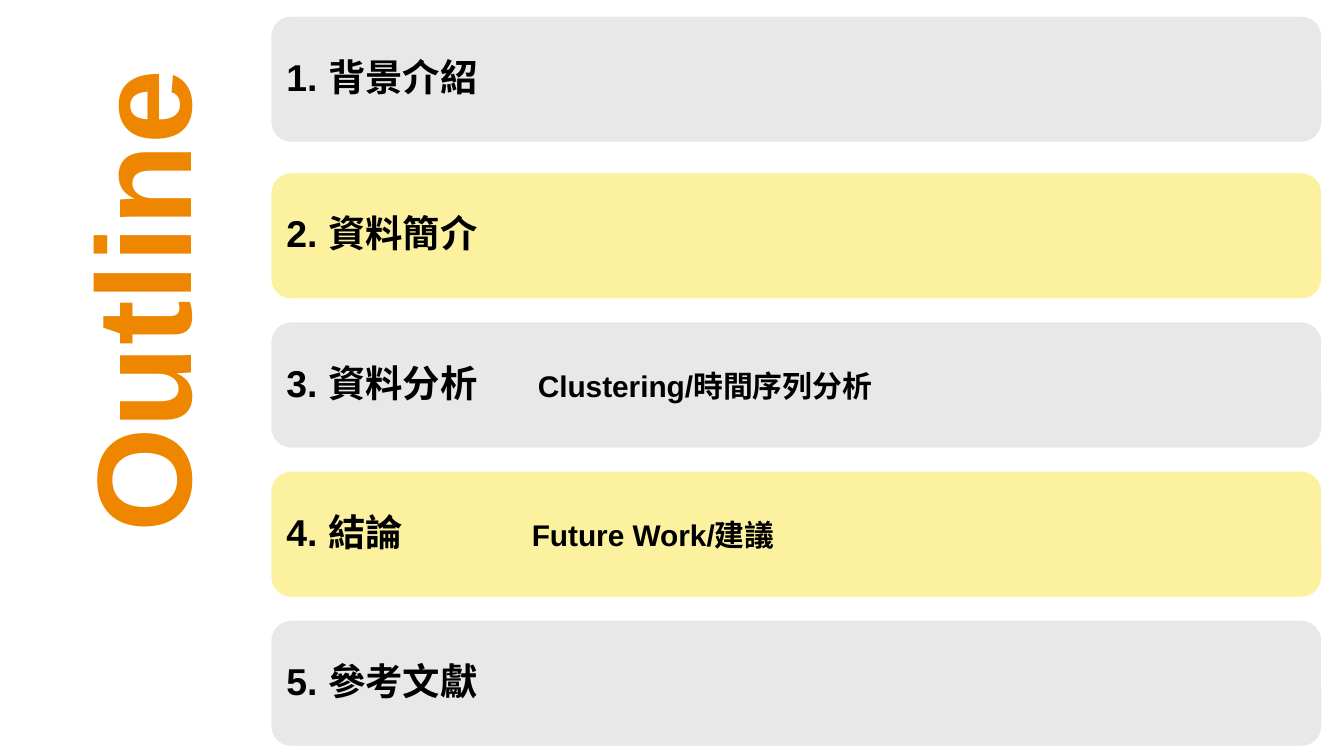
import dataclasses

import pptx
import pptx.dml.color
import pptx.enum.shapes
import pptx.enum.text
import pptx.oxml
import pptx.oxml.ns
import pptx.util

PX = 4572
ITEMS = [
    ("1. 背景介紹", "", 0),
    ("2. 資料簡介", "", 0),
    ("3. 資料分析", "Clustering/時間序列分析", 374),
    ("4. 結論", "Future Work/建議", 365),
    ("5. 參考文獻", "", 0),
]


@dataclasses.dataclass(frozen=True)
class Theme:
    """Colours, typeface and type sizes of the deck."""

    face: str = "Arial"
    accent: str = "EF8600"
    ink: str = "000000"
    paper: str = "FFFFFF"
    bands: tuple = ("E8E8E8", "FCF19E")
    title_size: int = 72
    item_size: int = 20
    detail_size: int = 16


THEME = Theme()


def px(length):
    """Turn px into EMU."""
    return pptx.util.Emu(length * PX)


def rgb(code):
    """Turn a hex code into a colour."""
    return pptx.dml.color.RGBColor.from_string(code)


def style(font, size, color):
    """Apply the bold theme face in the given size and colour."""
    font.name = THEME.face
    font.bold = True
    font.size = pptx.util.Pt(size)
    font.color.rgb = rgb(color)


def set_insets(frame, inset):
    """Give a text frame the same inset on all sides."""
    frame.margin_left = frame.margin_right = px(inset)
    frame.margin_top = frame.margin_bottom = px(inset)


def add_tab_stop(paragraph, position):
    """Add one left tab stop to a paragraph."""
    tabs = pptx.oxml.parse_xml(
        f'<a:tabLst {pptx.oxml.ns.nsdecls("a")}><a:tab pos="{px(position)}" algn="l"/></a:tabLst>'
    )
    paragraph._p.get_or_add_pPr().append(tabs)


def place_heading(slide, left, top, width, height):
    """Place the title, turned to read upwards, in the box before rotation."""
    heading = slide.shapes.title
    heading.left, heading.top = px(left), px(top)
    heading.width, heading.height = px(width), px(height)
    heading.rotation = 270
    frame = heading.text_frame
    frame.text = "Outline"
    frame.auto_size = pptx.enum.text.MSO_AUTO_SIZE.NONE
    frame.vertical_anchor = pptx.enum.text.MSO_ANCHOR.TOP
    set_insets(frame, 20)
    paragraph = frame.paragraphs[0]
    paragraph.alignment = pptx.enum.text.PP_ALIGN.CENTER
    style(paragraph.font, THEME.title_size, THEME.accent)


def place_item(slide, left, top, width, height, topic, detail, tab, band):
    """Place one outline band with its topic and optional detail."""
    item = slide.shapes.add_shape(
        pptx.enum.shapes.MSO_SHAPE.ROUNDED_RECTANGLE,
        px(left), px(top), px(width), px(height),
    )
    item.shadow.inherit = False
    item.fill.solid()
    item.fill.fore_color.rgb = rgb(band)
    item.line.color.rgb = rgb(THEME.paper)
    item.line.width = pptx.util.Pt(2)
    frame = item.text_frame
    frame.word_wrap = True
    frame.vertical_anchor = pptx.enum.text.MSO_ANCHOR.MIDDLE
    set_insets(frame, 16)
    paragraph = frame.paragraphs[0]
    if detail:
        add_tab_stop(paragraph, tab)
    paragraph.alignment = pptx.enum.text.PP_ALIGN.LEFT
    paragraph.line_spacing = 0.9
    style(paragraph.font, THEME.item_size, THEME.ink)
    paragraph.add_run().text = f"{topic}\t" if detail else topic
    if detail:
        detail_run = paragraph.add_run()
        detail_run.text = detail
        detail_run.font.size = pptx.util.Pt(THEME.detail_size)


def place_outline(slide, left, top, width):
    """Stack the items at an even pitch, the first set a little apart."""
    height, pitch, lead = 192, 222, 11
    for index, (topic, detail, tab) in enumerate(ITEMS):
        item_top = top + index * pitch + (lead if index else 0)
        band = THEME.bands[index % len(THEME.bands)]
        place_item(slide, left, item_top, width, height, topic, detail, tab, band)


def main():
    """Build and save the outline slide."""
    deck = pptx.Presentation()
    deck.slide_width, deck.slide_height = px(2000), px(1125)
    slide = deck.slides.add_slide(deck.slide_layouts[5])
    slide.background.fill.solid()
    slide.background.fill.fore_color.rgb = rgb(THEME.paper)
    place_heading(slide, -179, 295, 794, 306)
    place_outline(slide, 401, 22, 1568)
    deck.save("out.pptx")


if __name__ == "__main__":
    main()
